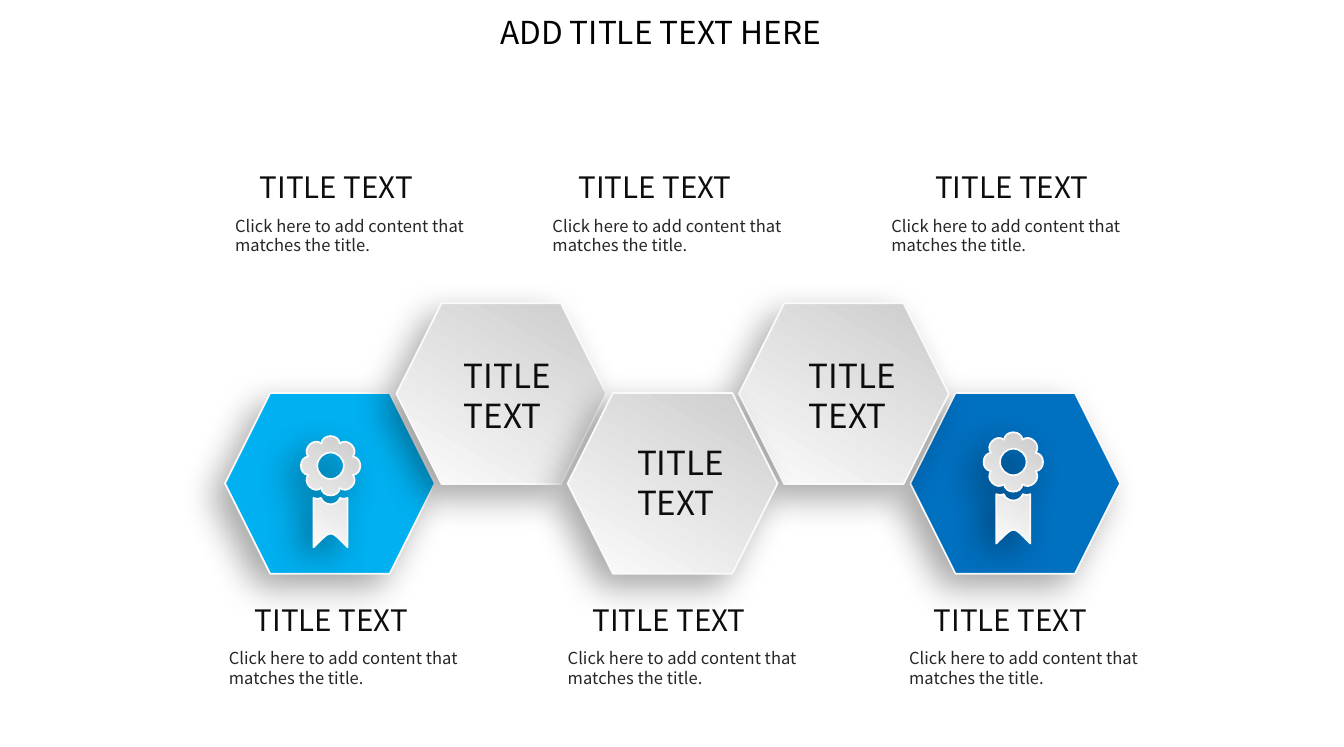
from math import cos, sin, radians

from lxml import etree
from pptx import Presentation
from pptx.dml.color import RGBColor
from pptx.enum import shapes, text
from pptx.oxml import ns
from pptx.util import Inches, Pt

FONT = "Noto Sans CJK SC"
BLACK = RGBColor(0x00, 0x00, 0x00)
INK = RGBColor(0x0D, 0x0D, 0x0D)
BODY_GRAY = RGBColor(0x26, 0x26, 0x26)
EDGE = RGBColor(0xFA, 0xFA, 0xFA)
SKY = RGBColor(0x00, 0xB0, 0xF0)
BLUE = RGBColor(0x00, 0x70, 0xC0)
SILVER = (RGBColor(0xCC, 0xCC, 0xCC), RGBColor(0xFC, 0xFC, 0xFC))

HEADLINE = "ADD TITLE TEXT HERE"
CAPTION = "TITLE TEXT"
DETAIL = "Click here to add content that matches the title."
LABEL = "TITLE \nTEXT"

HEX_LEFT, HEX_PITCH, HEX_WIDTH, HEX_HEIGHT = 1.78, 1.355, 1.66, 1.43
UPPER, LOWER = 2.4, 3.11
HEXAGONS = [
    {"column": 0, "top": LOWER, "fill": SKY, "medal": (2.38, 3.45)},
    {"column": 4, "top": LOWER, "fill": BLUE, "medal": (7.78, 3.42)},
    {"column": 1, "top": UPPER, "label": (3.57, 2.76)},
    {"column": 3, "top": UPPER, "label": (6.3, 2.76)},
    {"column": 2, "top": LOWER, "label": (4.94, 3.45)},
]
NOTE_ROWS = [
    (4.76, [(1.81, 2.01), (4.49, 4.68), (7.19, 7.38)]),
    (1.34, [(4.37, 4.57), (1.86, 2.05), (7.05, 7.39)]),
]

MIDDLE = 0.235
PETAL = [[(0.21, -0.07), (0.235, -0.04), (0.235, 0)],
         [(0.235, 0.04), (0.21, 0.07), (0.176, 0.073)]]
HOLE_QUARTER = [(0.105, 0.058), (0.058, 0.105), (0, 0.105)]
RIBBON = [
    [(0.16, 0.49)],
    [(0.14, 0.5), (0.12, 0.5), (0.1, 0.49)],
    [(0.1, 0.88)],
    [(0.25, 0.73), (0.23, 0.74), (0.37, 0.88)],
    [(0.37, 0.49)],
    [(0.35, 0.5), (0.33, 0.5), (0.31, 0.49)],
    [(0.3, 0.52), (0.27, 0.54), (0.235, 0.54)],
    [(0.2, 0.54), (0.17, 0.52), (0.16, 0.49)],
]

LEFT, CENTER = text.PP_ALIGN.LEFT, text.PP_ALIGN.CENTER
TITLE_STYLE = {"size": Pt(18), "color": BLACK, "align": CENTER,
               "insets": (0.07, 0.04, 0.07, 0.04), "wrap": True}
CAPTION_STYLE = {"size": Pt(16.8), "color": INK, "align": CENTER,
                 "insets": (0, 0, 0, 0), "wrap": False}
DETAIL_STYLE = {"size": Pt(9.45), "color": BODY_GRAY, "align": LEFT,
                "insets": (0, 0, 0.1, 0.05), "wrap": True}
LABEL_STYLE = {"size": Pt(18.9), "color": INK, "align": LEFT,
               "insets": (0.1, 0.05, 0.1, 0.05), "wrap": False}

presentation = Presentation()
presentation.slide_width = Inches(10.63)
presentation.slide_height = Inches(5.91)
slide = presentation.slides.add_slide(presentation.slide_layouts[6])


def add_text(parent, content, left, top, width, height, style):
    box = parent.shapes.add_textbox(*map(Inches, (left, top, width, height)))
    frame = box.text_frame
    frame.text = content
    sides = ("margin_left", "margin_top", "margin_right", "margin_bottom")
    settings = dict(zip(sides, map(Inches, style["insets"])))
    settings["word_wrap"] = style["wrap"]
    settings["auto_size"] = text.MSO_AUTO_SIZE.SHAPE_TO_FIT_TEXT
    for name, value in settings.items():
        setattr(frame, name, value)
    for paragraph in frame.paragraphs:
        paragraph.alignment = style["align"]
        for run in paragraph.runs:
            for name, value in {"name": FONT, "size": style["size"]}.items():
                setattr(run.font, name, value)
            run.font.color.rgb = style["color"]
            etree.SubElement(run.font._element, ns.qn("a:ea"), typeface=FONT)


def finish(shape, color=None):
    if color is None:
        shape.fill.gradient()
        shape.fill.gradient_angle = 240
        for stop, position, tone in zip(shape.fill.gradient_stops, (0, 1), SILVER):
            stop.position = position
            stop.color.rgb = tone
    else:
        shape.fill.solid()
        shape.fill.fore_color.rgb = color
    shape.line.color.rgb = EDGE
    shape.line.width = Pt(1)
    shape.shadow.inherit = False
    effects = shape._element.spPr.find(ns.qn("a:effectLst"))
    shadow = etree.SubElement(
        effects, ns.qn("a:outerShdw"), blurRad=str(Pt(20)), dist=str(Pt(10)),
        dir=str(136 * 60000), algn="ctr", rotWithShape="0")
    tone = etree.SubElement(shadow, ns.qn("a:srgbClr"), val=str(BLACK))
    etree.SubElement(tone, ns.qn("a:alpha"), val="34000")


def turned(segment, degrees):
    c, s = cos(radians(degrees)), sin(radians(degrees))
    return [(MIDDLE + x * c - y * s, MIDDLE + x * s + y * c) for x, y in segment]


def add_medal(parent, left, top):
    flower = [turned(half, angle) for angle in range(0, 360, 45) for half in PETAL]
    hole = [turned(HOLE_QUARTER, angle) for angle in range(0, 360, 90)]
    outlines = [[[(Inches(left + x), Inches(top + y)) for x, y in segment]
                 for segment in outline] for outline in (flower, hole, RIBBON)]
    builder = parent.shapes.build_freeform(*outlines[0][-1][-1])
    for index, outline in enumerate(outlines):
        if index:
            builder.move_to(*outline[-1][-1])
        builder.add_line_segments([segment[-1] for segment in outline], close=True)
    medal = builder.convert_to_shape()
    lines = list(medal._element.iter(ns.qn("a:lnTo")))
    for line, segment in zip(lines, sum(outlines, [])):
        if len(segment) == 3:
            curve = etree.Element(ns.qn("a:cubicBezTo"))
            for x, y in segment:
                etree.SubElement(curve, ns.qn("a:pt"),
                                 x=str(x - medal.left), y=str(y - medal.top))
            line.getparent().replace(line, curve)
    finish(medal)


for item in HEXAGONS:
    group = slide.shapes.add_group_shape()
    left = HEX_LEFT + item["column"] * HEX_PITCH
    hexagon = group.shapes.add_shape(
        shapes.MSO_SHAPE.HEXAGON,
        *map(Inches, (left, item["top"], HEX_WIDTH, HEX_HEIGHT)))
    finish(hexagon, item.get("fill"))
    if "medal" in item:
        add_medal(group, *item["medal"])
    else:
        add_text(group, LABEL, *item["label"], 0.95, 0.74, LABEL_STYLE)

for top, columns in NOTE_ROWS:
    for detail_left, caption_left in columns:
        group = slide.shapes.add_group_shape()
        add_text(group, DETAIL, detail_left, top + 0.365, 2.03, 0.37, DETAIL_STYLE)
        add_text(group, CAPTION, caption_left, top, 1.22, 0.28, CAPTION_STYLE)

add_text(slide, HEADLINE, 3.78, 0.06, 2.89, 0.38, TITLE_STYLE)

presentation.save("out.pptx")
